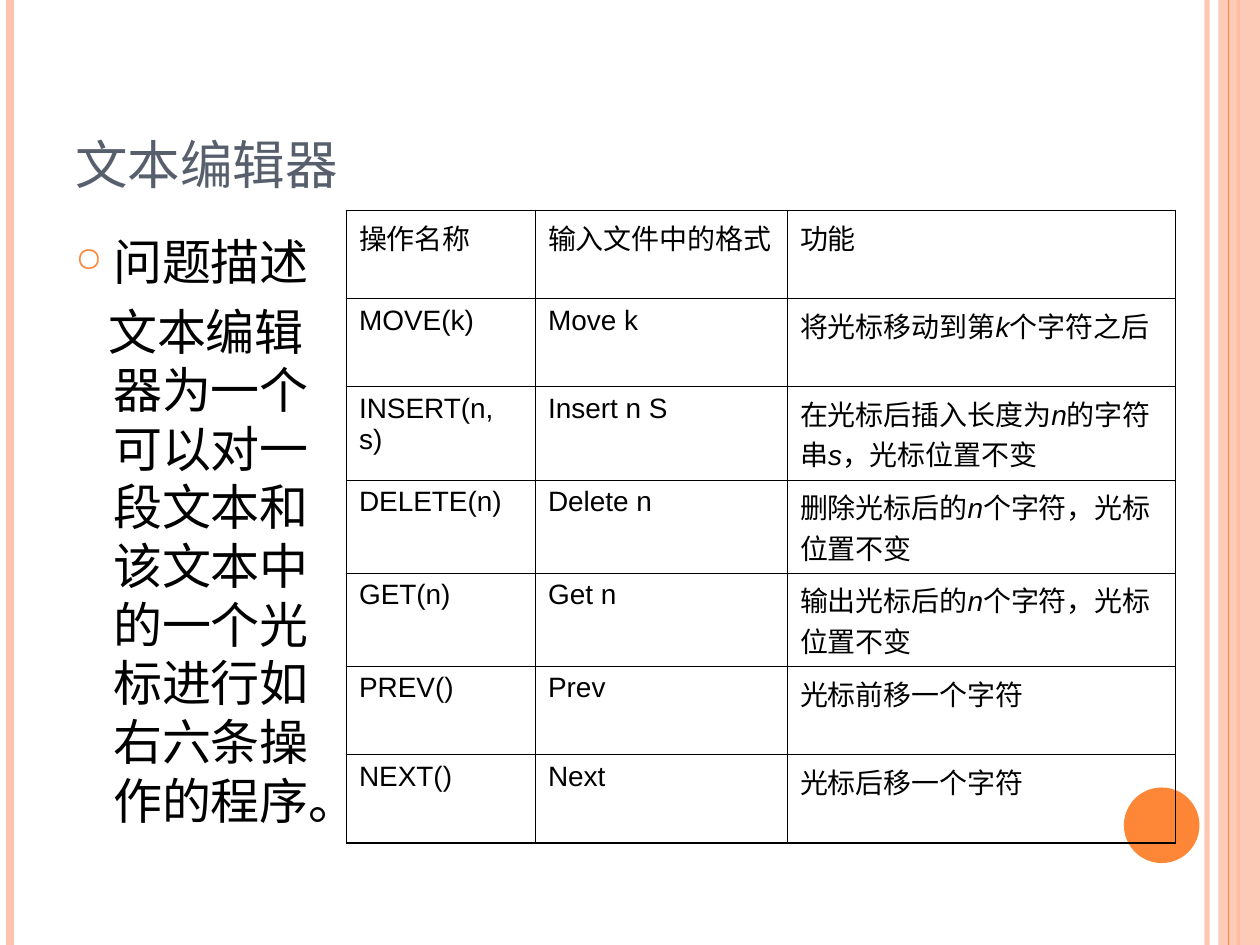
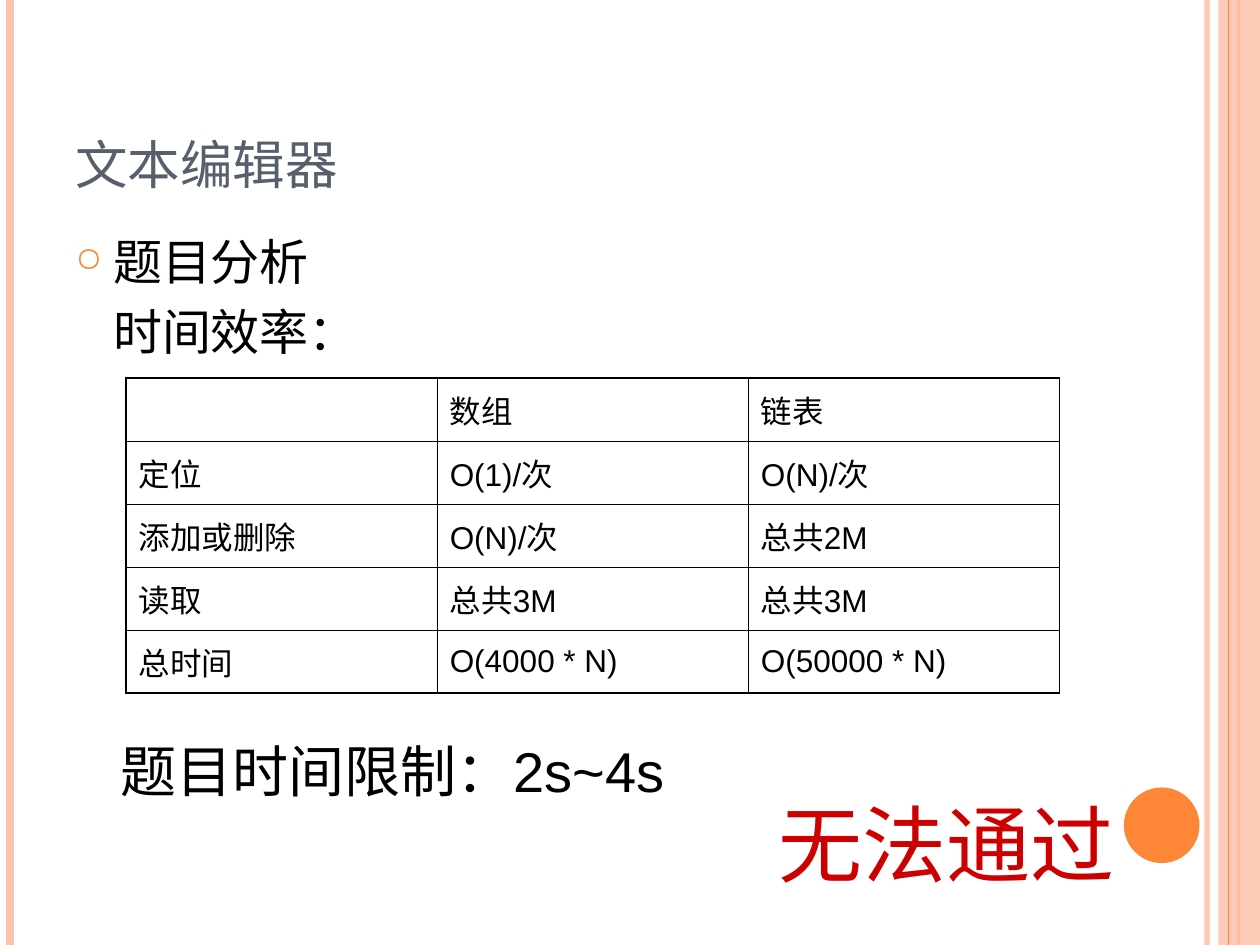
from lxml.etree import SubElement
from pptx import Presentation
from pptx.dml.color import RGBColor
from pptx.enum.lang import MSO_LANGUAGE_ID
from pptx.enum.shapes import MSO_CONNECTOR, MSO_SHAPE
from pptx.enum.text import MSO_ANCHOR
from pptx.oxml.ns import qn
from pptx.util import Inches, Pt

COLORS = {"peach": "FEC3AE", "orange": "FE8637", "slate": "575F6D",
          "black": "000000", "red": "CC0000"}
LATIN, CHINESE = "Arial", "Noto Sans CJK JP"
TITLE = "文本编辑器"
OUTER_BORDER, INNER_BORDER = 1.08, 0.45
OPERATIONS = [
    ["操作名称", "输入文件中的格式", "功能"],
    ["MOVE(k)", "Move k", "将光标移动到第_k_个字符之后"],
    ["INSERT(n, s)", "Insert n S", "在光标后插入长度为_n_的字符串_s_，光标位置不变"],
    ["DELETE(n)", "Delete n", "删除光标后的_n_个字符，光标位置不变"],
    ["GET(n)", "Get n", "输出光标后的_n_个字符，光标位置不变"],
    ["PREV()", "Prev", "光标前移一个字符"],
    ["NEXT()", "Next", "光标后移一个字符"],
]
TIME_COSTS = [
    ["", "数组", "链表"],
    ["定位", "O(1)/次", "O(N)/次"],
    ["添加或删除", "O(N)/次", "总共2M"],
    ["读取", "总共3M", "总共3M"],
    ["总时间", "O(4000 * N)", "O(50000 * N)"],
]


def rgb(name):
    return RGBColor.from_string(COLORS[name])


def set_alpha(element, percent):
    color = next(element.iter(qn("a:srgbClr")))
    SubElement(color, qn("a:alpha"), val=str(percent * 1000))


def add_rule(page, x, color, width, alpha=None):
    """Draw a vertical line over the full page height."""
    rule = page.shapes.add_connector(MSO_CONNECTOR.STRAIGHT, Inches(x), 0,
                                     Inches(x), Inches(7.5))
    rule.line.color.rgb = rgb(color)
    rule.line.width = Pt(width)
    if alpha:
        set_alpha(rule.line._ln, alpha)
    SubElement(rule._element.spPr, qn("a:effectLst"))


def add_plain_shape(page, kind, color, left, top, width, height):
    shape = page.shapes.add_shape(kind, Inches(left), Inches(top),
                                  Inches(width), Inches(height))
    shape.shadow.inherit = False
    shape.fill.solid()
    shape.fill.fore_color.rgb = rgb(color)
    shape.line.fill.background()
    return shape


def add_span(para, text, size, color="black", latin=LATIN, italic=False):
    span = para.add_run()
    span.text = text
    font = span.font
    font.size = Pt(size)
    font.name = latin
    font.italic = italic
    font.color.rgb = rgb(color)
    font.language_id = MSO_LANGUAGE_ID.SIMPLIFIED_CHINESE
    SubElement(font._element, qn("a:ea"), typeface=CHINESE)


def add_box(page, left, top, width, height, size, wrap=True):
    """Add a text box whose top inset suits its 1.2 em line height."""
    box = page.shapes.add_textbox(Inches(left), Inches(top), Inches(width), Inches(height))
    frame = box.text_frame
    frame.word_wrap = wrap
    frame.margin_top = Inches(0.05 + 0.0015 * size)
    return frame


def add_line(page, text, left, top, width, height, size, color="black", wrap=True):
    para = add_box(page, left, top, width, height, size, wrap).paragraphs[0]
    para.line_spacing = Pt(1.2 * size)
    add_span(para, text, size, color)


def add_title(page):
    frame = add_box(page, 0.5, 0.3, 9, 1.25, 30)
    frame.vertical_anchor = MSO_ANCHOR.BOTTOM
    frame.margin_bottom = 0
    add_span(frame.paragraphs[0], TITLE, 30, "slate", CHINESE)


def add_body(page, width, height, heading, detail, detail_indent=0):
    """Add a bulleted heading with an unbulleted paragraph below it."""
    frame = add_box(page, 0.5, 1.75, width, height, 28)
    paras = frame.paragraphs[0], frame.add_paragraph()
    for para, text, indent in zip(paras, (heading, detail), (-0.3, detail_indent)):
        para.line_spacing = Pt(33.5)
        settings = para._p.get_or_add_pPr()
        settings.set("marL", str(Inches(0.3)))
        settings.set("indent", str(Inches(indent)))
        add_span(para, text, 28, latin=CHINESE)
    paras[1].space_before = Pt(6)
    settings = paras[0]._p.pPr
    bullet_color = SubElement(settings, qn("a:buClr"))
    SubElement(bullet_color, qn("a:srgbClr"), val=COLORS["orange"])
    SubElement(settings, qn("a:buSzPct"), val="70000")
    SubElement(settings, qn("a:buChar"), char="○")


def set_border(cell, side, width):
    line = SubElement(cell._tc.get_or_add_tcPr(), qn("a:ln" + side), w=str(Pt(width)))
    fill = SubElement(line, qn("a:solidFill"))
    SubElement(fill, qn("a:srgbClr"), val=COLORS["black"])


def add_grid(page, rows, left, top, widths, heights, size, anchor=MSO_ANCHOR.TOP):
    """Add an unfilled table; text between underscores is italic."""
    table = page.shapes.add_table(len(rows), len(widths), Inches(left), Inches(top),
                                  Inches(sum(widths)), Inches(sum(heights))).table
    table.first_row = table.horz_banding = False
    for column, width in zip(table.columns, widths):
        column.width = Inches(width)
    for r, (texts, height) in enumerate(zip(rows, heights)):
        table.rows[r].height = Inches(height)
        for c, text in enumerate(texts):
            cell = table.cell(r, c)
            cell.vertical_anchor = anchor
            on_edge = {"L": c == 0, "R": c == len(widths) - 1,
                       "T": r == 0, "B": r == len(rows) - 1}
            for side, outer in on_edge.items():
                set_border(cell, side, OUTER_BORDER if outer else INNER_BORDER)
            cell.fill.background()
            para = cell.text_frame.paragraphs[0]
            para.font.size = Pt(size)
            for index, part in enumerate(text.split("_")):
                if part:
                    add_span(para, part, size, italic=index % 2 == 1)


def add_page(deck):
    """Add a page with the shared bands, disc and title."""
    page = deck.slides.add_slide(deck.slide_layouts[6])
    add_rule(page, 9.58, "peach", 3, alpha=93)
    add_rule(page, 0.08, "peach", 4.5)
    add_rule(page, 9.83, "orange", 1.5)
    band = add_plain_shape(page, MSO_SHAPE.RECTANGLE, "peach", 9.67, 0, 0.33, 7.5)
    set_alpha(band._element.spPr, 87)
    add_rule(page, 9.75, "orange", 0.75)
    add_plain_shape(page, MSO_SHAPE.OVAL, "orange", 8.92, 6.25, 0.6, 0.6)
    add_title(page)
    return page


def add_problem_page(deck):
    page = add_page(deck)
    add_body(page, 2.33, 5.33, "问题描述",
             "文本编辑器为一个可以对一段文本和该文本中的一个光标进行如右六条操作的程序。",
             detail_indent=-0.04)
    heights = [0.7] * 2 + [0.74] * 3 + [0.7] * 2
    add_grid(page, OPERATIONS, 2.75, 1.67, [1.5, 2, 3.08], heights, 16)


def add_analysis_page(deck):
    page = add_page(deck)
    add_body(page, 4.33, 1.17, "题目分析", "时间效率：")
    add_grid(page, TIME_COSTS, 1, 3, [2.47] * 3, [0.5] * 5, 18, MSO_ANCHOR.MIDDLE)
    add_line(page, "题目时间限制：2s~4s", 0.86, 5.75, 4.62, 0.64, 32, wrap=False)
    add_line(page, "无法通过", 6.08, 6.17, 3, 0.9, 48, "red")


def main():
    deck = Presentation()
    deck.slide_width, deck.slide_height = Inches(10), Inches(7.5)
    add_problem_page(deck)
    add_analysis_page(deck)
    deck.save("out.pptx")


if __name__ == "__main__":
    main()
